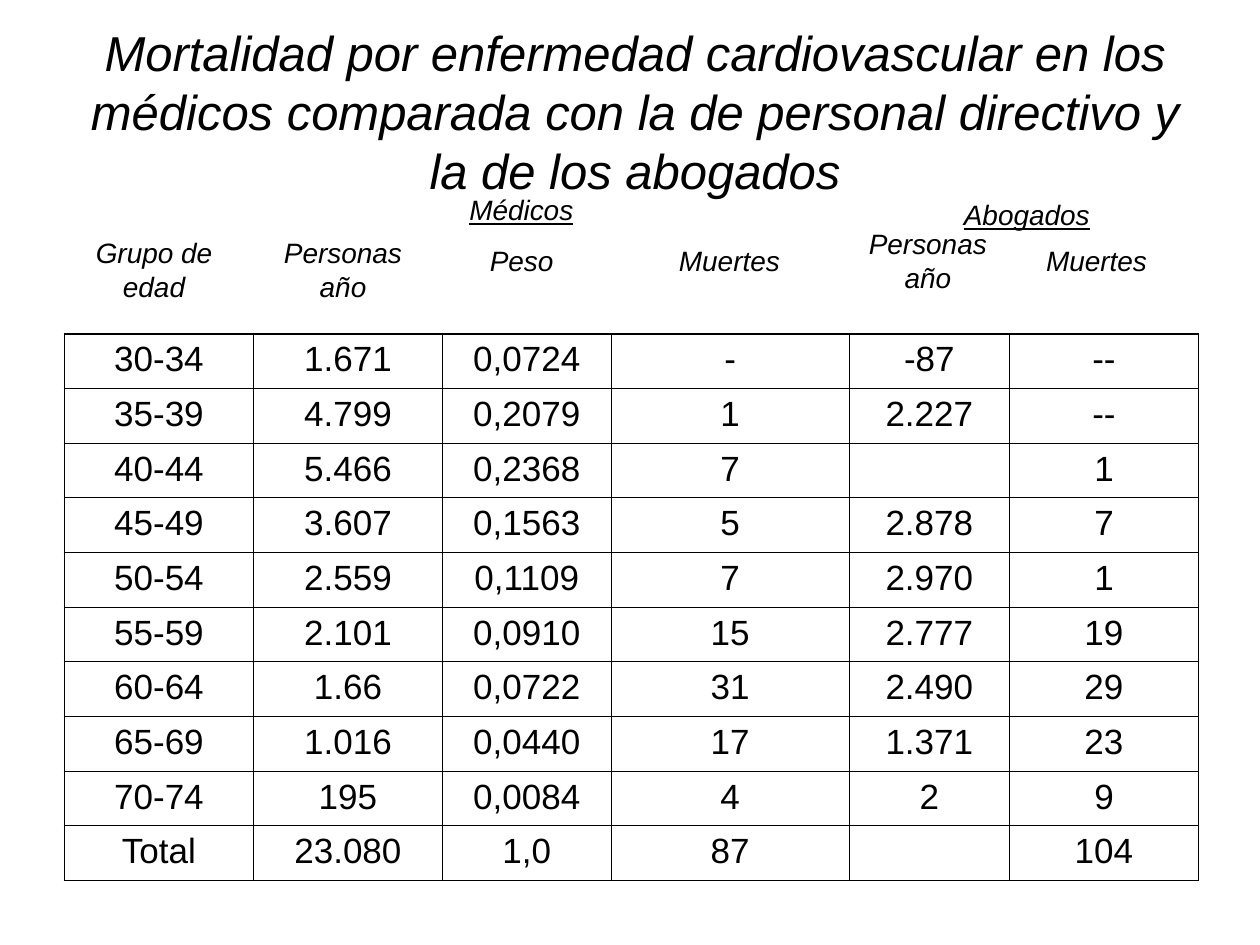
from lxml.etree import SubElement
from pptx import Presentation
from pptx.dml.color import RGBColor
from pptx.enum.text import MSO_ANCHOR, PP_ALIGN
from pptx.oxml.ns import qn
from pptx.util import Cm, Pt

HUES = {"ink": "000000", "page": "FFFFFF"}
FONT = "Arial"
TITLE = ("Mortalidad por enfermedad cardiovascular en los médicos comparada "
         "con la de personal directivo y la de los abogados")
HEADS = [
    ("Grupo de edad", 0, 0.38), ("Personas\vaño", 3.81, 0.38),
    ("Peso", 7.41, 0.2), ("Muertes", 11.6, 0.2),
    ("Personas año", 15.6, 0.2), ("Muertes", 19, 0.2),
]
GROUPS = [("Médicos", 3.81, 0, 10.8, 1), ("Abogados", 15.6, 0.2, 7.6, 0.8)]
WIDTHS = [3.81, 3.81, 3.4, 4.8, 3.23, 3.81]
ROWS = [
    ["30-34", "1.671", "0,0724", "-", "-87", "--"],
    ["35-39", "4.799", "0,2079", "1", "2.227", "--"],
    ["40-44", "5.466", "0,2368", "7", "", "1"],
    ["45-49", "3.607", "0,1563", "5", "2.878", "7"],
    ["50-54", "2.559", "0,1109", "7", "2.970", "1"],
    ["55-59", "2.101", "0,0910", "15", "2.777", "19"],
    ["60-64", "1.66", "0,0722", "31", "2.490", "29"],
    ["65-69", "1.016", "0,0440", "17", "1.371", "23"],
    ["70-74", "195", "0,0084", "4", "2", "9"],
    ["Total", "23.080", "1,0", "87", "", "104"],
]


def write(frame, text, size=16, italic=True, under=False):
    """Put centred text in a frame."""
    frame.word_wrap = True
    frame.text = text
    para = frame.paragraphs[0]
    para.alignment = PP_ALIGN.CENTER
    for font in [para.font] + [run.font for run in para.runs]:
        font.name, font.size = FONT, Pt(size)
        font.italic, font.underline = italic, under
        font.color.rgb = RGBColor.from_string(HUES["ink"])


def label(slide, text, box, **form):
    """Add a text box with its text in the middle."""
    frame = slide.shapes.add_textbox(*map(Cm, box)).text_frame
    write(frame, text, **form)
    frame.vertical_anchor = MSO_ANCHOR.MIDDLE


def edge(cell, side, width):
    """Draw one border of a cell."""
    line = SubElement(cell._tc.get_or_add_tcPr(), qn(f"a:ln{side}"),
                      w=str(Pt(width)))
    fill = SubElement(line, qn("a:solidFill"))
    SubElement(fill, qn("a:srgbClr"), val=HUES["ink"])


def heads(slide, left, top):
    """Place the column heads and the two group names."""
    for text, x, y in HEADS:
        label(slide, text, (left + x, top + y, 3.61, 2.64))
    for text, x, y, width, height in GROUPS:
        label(slide, text, (left + x, top + y, width, height), under=True)


def grid(slide, left, top, width, height):
    """Place the table of deaths by age group."""
    box = map(Cm, (left, top, width, height))
    table = slide.shapes.add_table(len(ROWS), len(WIDTHS), *box).table
    table.first_row = table.horz_banding = False
    for col, size in zip(table.columns, WIDTHS):
        col.width = Cm(size)
    for r, row in enumerate(ROWS):
        table.rows[r].height = Cm(height / len(ROWS))
        for c, text in enumerate(row):
            cell = table.cell(r, c)
            write(cell.text_frame, text, size=20, italic=False)
            outer = {"L": c == 0, "R": c == len(row) - 1,
                     "T": r == 0, "B": r == len(ROWS) - 1}
            for side, rim in outer.items():
                edge(cell, side, 1.08 if rim else 0.45)
            cell.fill.solid()
            cell.fill.fore_color.rgb = RGBColor.from_string(HUES["page"])


def main():
    """Build the slide and save it."""
    deck = Presentation()
    deck.slide_width, deck.slide_height = Cm(25.4), Cm(19.05)
    slide = deck.slides.add_slide(deck.slide_layouts[6])
    label(slide, TITLE, (1.1, 0.91, 23.4, 2.64), size=28)
    grid(slide, 1.3, 6.73, sum(WIDTHS), 11.02)
    heads(slide, 1.3, 3.73)
    deck.save("out.pptx")


if __name__ == "__main__":
    main()
